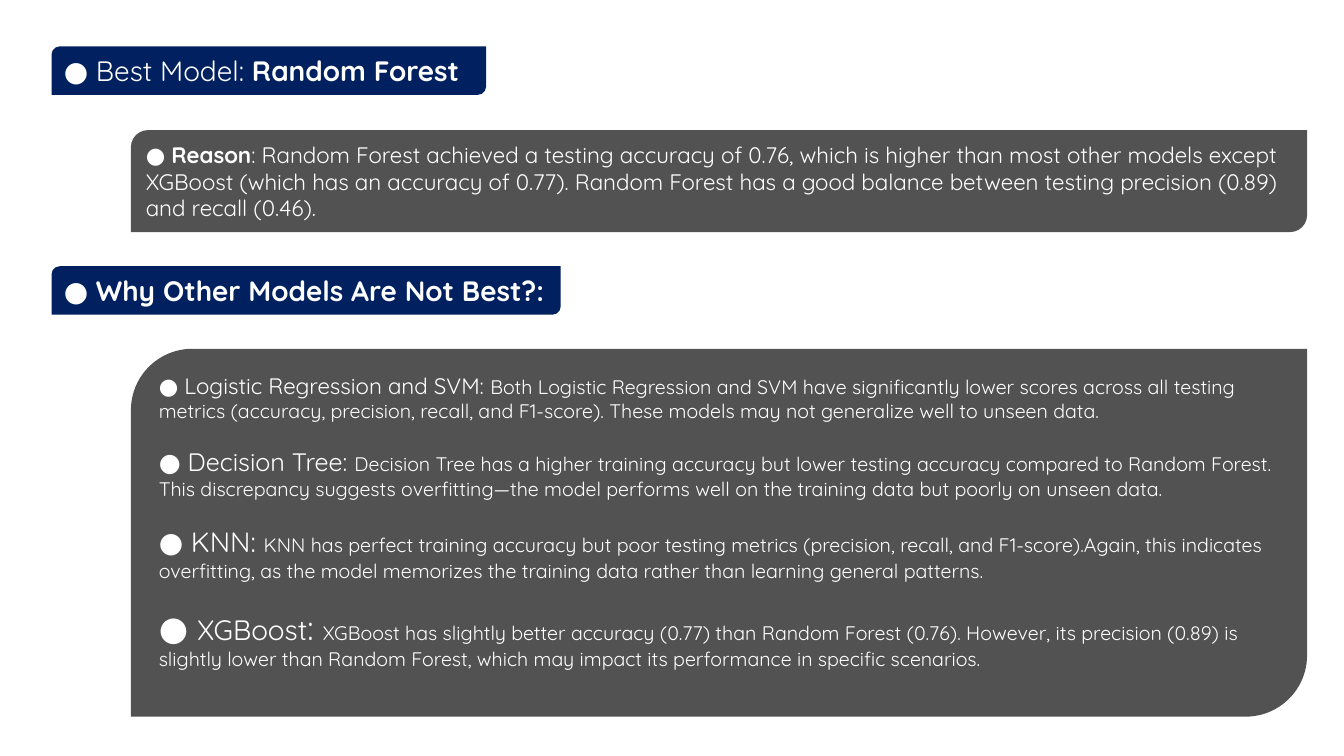
from pptx import Presentation
from pptx.dml.color import RGBColor
from pptx.enum.shapes import MSO_SHAPE
from pptx.enum.text import MSO_ANCHOR, PP_ALIGN
from pptx.util import Cm, Pt

BANNER = MSO_SHAPE.ROUND_2_DIAG_RECTANGLE
TOP, MIDDLE = MSO_ANCHOR.TOP, MSO_ANCHOR.MIDDLE
LEFT, JUSTIFY = PP_ALIGN.LEFT, PP_ALIGN.JUSTIFY

COLOURS = {"navy": "002060", "grey": "525252", "white": "FFFFFF"}
FONT = "Quicksand"
HEADING_SIZE, REASON_SIZE, BODY_SIZE = 20, 16, 14
HEADING_LEFT, PANEL_LEFT, PANEL_WIDTH = 1.3, 3.3, 29.64
HEADING_HEIGHT = 1.22
PARAGRAPH_GAP = 17.5

# Each span is (text, size, bold)
BEST_MODEL = [("● Best Model: ", HEADING_SIZE, False),
              ("Random Forest", HEADING_SIZE, True)]
OTHER_MODELS = [("● ", HEADING_SIZE, False),
                ("Why Other Models Are Not Best?:", HEADING_SIZE, True)]
REASON = [
    ("● ", REASON_SIZE, False),
    ("Reason", REASON_SIZE, True),
    (": Random Forest achieved a testing accuracy of 0.76, which is higher than "
     "most other models except XGBoost (which has an accuracy of 0.77). Random "
     "Forest has a good balance between testing precision (0.89) and recall "
     "(0.46).", REASON_SIZE, False),
]
COMPARISONS = [
    [("● Logistic Regression and SVM: ", 16, False),
     ("Both Logistic Regression and SVM have significantly lower scores across "
      "all testing metrics (accuracy, precision, recall, and F1-score). These "
      "models may not generalize well to unseen data.", BODY_SIZE, False)],
    [("● Decision Tree: ", 18, False),
     ("Decision Tree has a higher training accuracy but lower testing accuracy "
      "compared to Random Forest. This discrepancy suggests overfitting—the "
      "model performs well on the training data but poorly on unseen data.",
      BODY_SIZE, False)],
    [("● KNN: ", 20, False),
     ("KNN has perfect training accuracy but poor testing metrics (precision, "
      "recall, and F1-score).Again, this indicates overfitting, as the model "
      "memorizes the training data rather than learning general patterns.",
      BODY_SIZE, False)],
    [("● ", 24, False), ("XGBoost", 20, False), (": ", 24, False),
     ("XGBoost has slightly better accuracy (0.77) than Random Forest (0.76). "
      "However, its precision (0.89) is slightly lower than Random Forest, which "
      "may impact its performance in specific scenarios.", BODY_SIZE, False)],
]


class SlideBuilder:
    def __init__(self, page):
        self.page = page

    def box(self, left, top, width, height, colour, paragraphs, align, anchor):
        box = self.page.shapes.add_shape(
            BANNER, Cm(left), Cm(top), Cm(width), Cm(height))
        box.shadow.inherit = False
        box.fill.solid()
        box.fill.fore_color.rgb = RGBColor.from_string(COLOURS[colour])
        box.line.fill.background()
        frame = box.text_frame
        frame.word_wrap = True
        frame.vertical_anchor = anchor
        for index, spans in enumerate(paragraphs):
            para = frame.add_paragraph() if index else frame.paragraphs[0]
            para.alignment = align
            if index:
                para.space_before = Pt(PARAGRAPH_GAP)
            self.spans(para, spans)

    def spans(self, para, spans):
        for text, size, bold in spans:
            span = para.add_run()
            span.text = text
            span.font.name = FONT
            span.font.size = Pt(size)
            span.font.bold = bold
            span.font.color.rgb = RGBColor.from_string(COLOURS["white"])

    def heading(self, top, width, spans):
        self.box(HEADING_LEFT, top, width, HEADING_HEIGHT, "navy", [spans],
                 JUSTIFY, MIDDLE)

    def panel(self, top, height, paragraphs, anchor):
        self.box(PANEL_LEFT, top, PANEL_WIDTH, height, "grey", paragraphs,
                 LEFT, anchor)


def main():
    deck = Presentation()
    deck.slide_width, deck.slide_height = Cm(33.87), Cm(19.05)
    builder = SlideBuilder(deck.slides.add_slide(deck.slide_layouts[6]))

    # Best model and the reason for it
    builder.heading(1.17, 10.95, BEST_MODEL)
    builder.panel(3.28, 2.57, [REASON], MIDDLE)

    # The other models
    builder.heading(6.71, 12.83, OTHER_MODELS)
    builder.panel(8.79, 9.27, COMPARISONS, TOP)

    deck.save("out.pptx")


if __name__ == "__main__":
    main()
